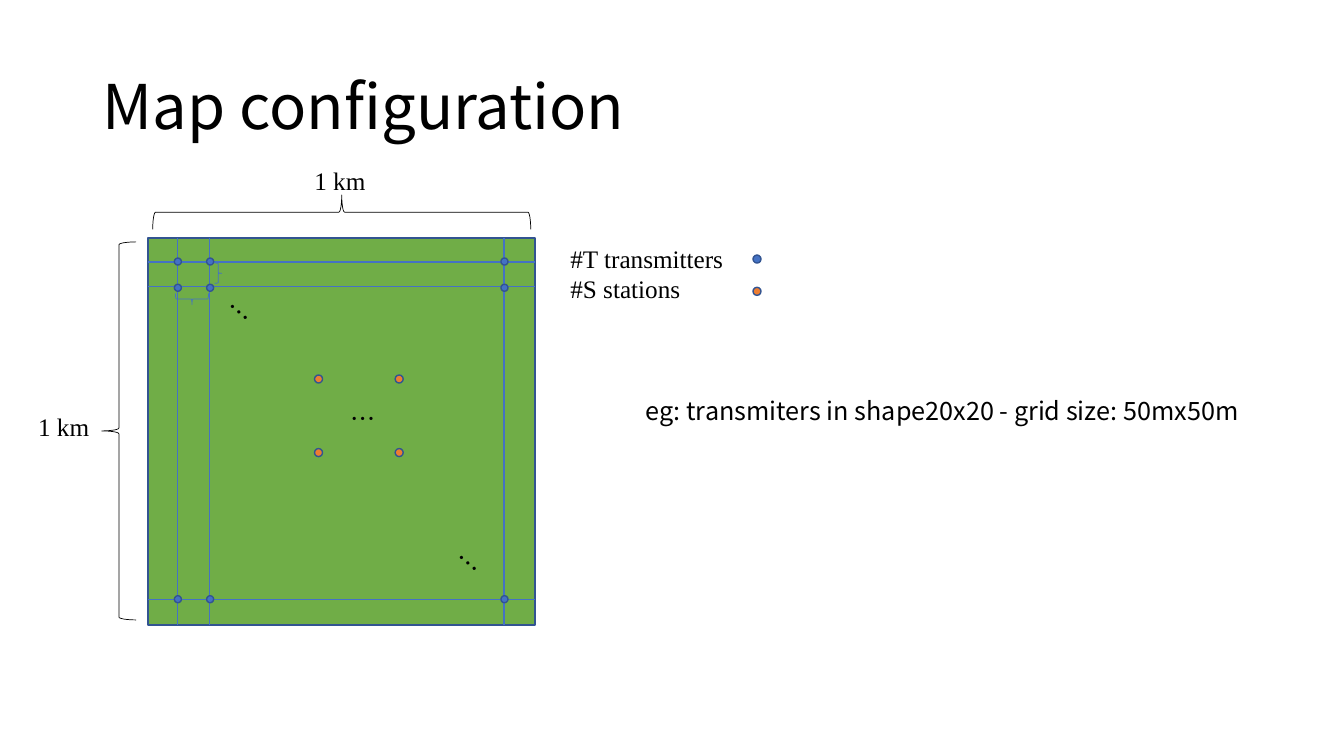
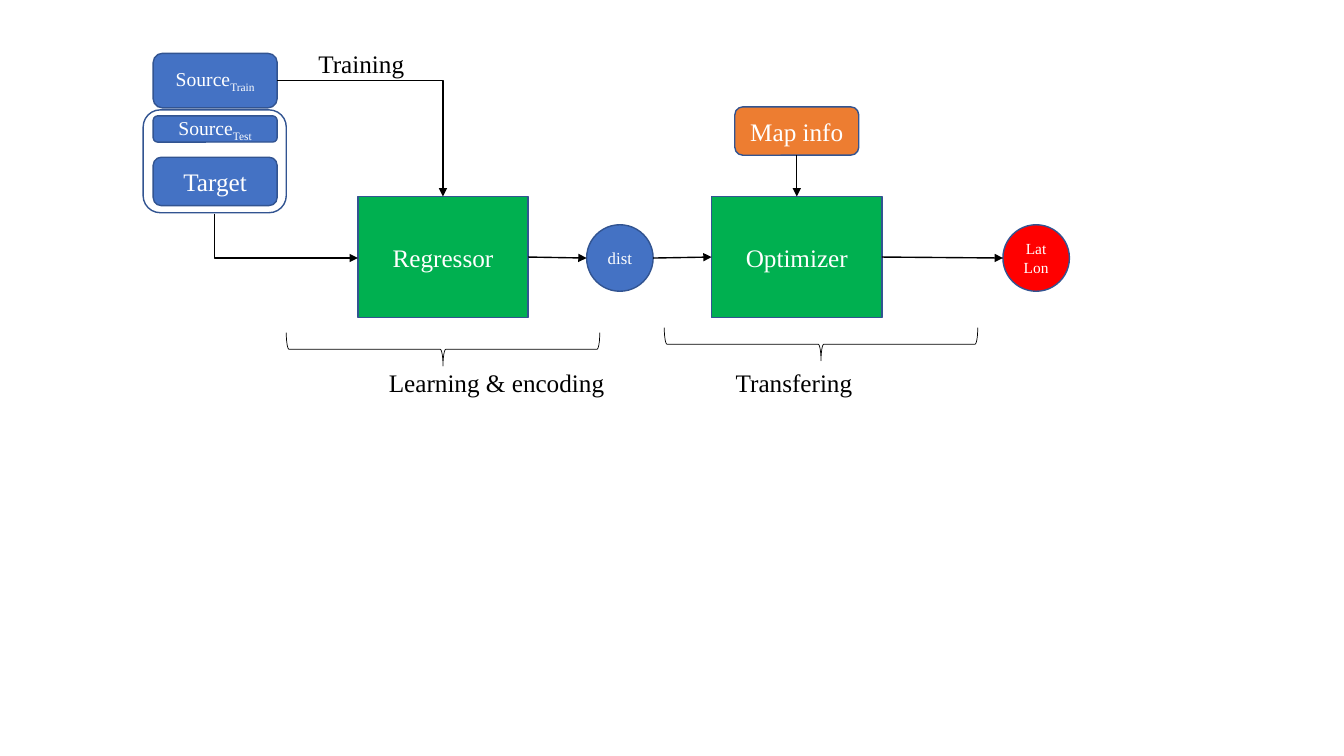
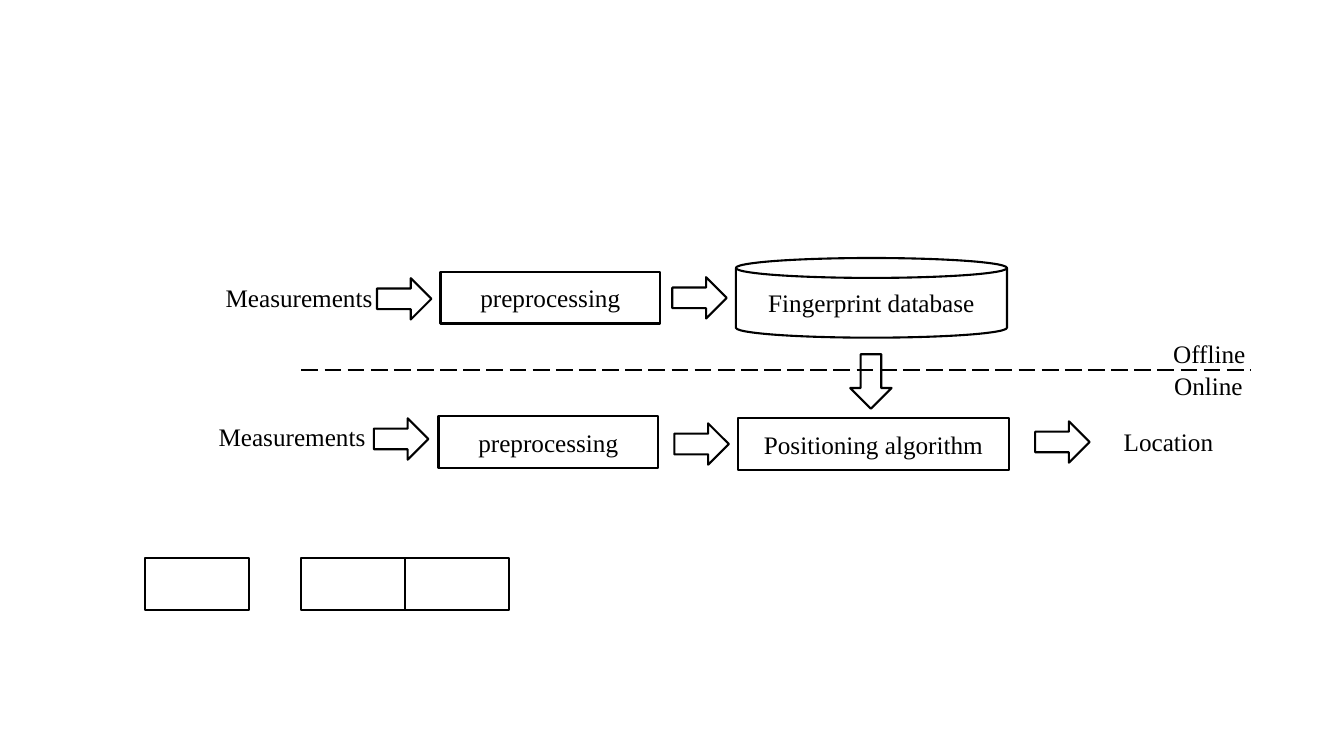
from lxml import etree
from pptx import Presentation
from pptx.dml.color import RGBColor
from pptx.enum.dml import MSO_LINE
from pptx.enum.shapes import MSO_CONNECTOR as LINK, MSO_SHAPE as SHAPE
from pptx.enum.text import MSO_ANCHOR as ANCHOR, MSO_AUTO_SIZE as FIT, PP_ALIGN as ALIGN
from pptx.oxml.ns import qn
from pptx.util import Pt

PX = 9144
SANS = "Noto Sans CJK SC"
SERIF = "Times New Roman"
BLACK = RGBColor(0x00, 0x00, 0x00)
WHITE = RGBColor(0xFF, 0xFF, 0xFF)
BLUE = RGBColor(0x44, 0x72, 0xC4)
NAVY = RGBColor(0x32, 0x54, 0x91)
ORANGE = RGBColor(0xED, 0x7D, 0x31)
GRASS = RGBColor(0x70, 0xAD, 0x47)
GREEN = RGBColor(0x00, 0xB0, 0x50)
RED = RGBColor(0xFF, 0x00, 0x00)


def draw(page, kind, frame, fill=None, edge=NAVY, weight=1, text="", size=18,
         color=BLACK, font=SERIF, turn=0):
    frame = [value * PX for value in frame]
    if kind is None:
        box = page.shapes.add_textbox(*frame)
        box.text_frame.auto_size = FIT.SHAPE_TO_FIT_TEXT
    else:
        box = page.shapes.add_shape(kind, *frame)
        box.shadow.inherit = False
        box.line.color.rgb = edge
        box.line.width = Pt(weight)
        if fill is None:
            box.fill.background()
        else:
            box.fill.solid()
            box.fill.fore_color.rgb = fill
        box.text_frame.vertical_anchor = ANCHOR.MIDDLE
    box.rotation = turn
    box.text_frame.word_wrap = True
    if not text:
        return box
    for row, line in enumerate(text.split("\n")):
        para = box.text_frame.add_paragraph() if row else box.text_frame.paragraphs[0]
        para.alignment = ALIGN.LEFT if kind is None else ALIGN.CENTER
        for level, part in enumerate(line.split("_")):
            span = para.add_run()
            span.text = part
            span.font.size = Pt(size)
            span.font.name = font
            span.font.color.rgb = color
            props = span._r.get_or_add_rPr()
            etree.SubElement(props, qn("a:ea")).set("typeface", font)
            if level:
                props.set("baseline", "-25000")
    return box


def join(page, kind, ends, color=BLACK, weight=1, arrow=True):
    link = page.shapes.add_connector(kind, *[value * PX for value in ends])
    link.line.color.rgb = color
    link.line.width = Pt(weight)
    if arrow:
        etree.SubElement(link.line._get_or_add_ln(), qn("a:tailEnd")).set("type", "triangle")
    etree.SubElement(link._element.spPr, qn("a:effectLst"))
    return link


deck = Presentation()
deck.slide_width = 12192000
deck.slide_height = 750 * PX
blank = deck.slide_layouts[6]

page = deck.slides.add_slide(deck.slide_layouts[5])
title = page.shapes.title
title.left, title.top, title.width, title.height = [v * PX for v in (92, 36, 1150, 145)]
title.text_frame.vertical_anchor = ANCHOR.MIDDLE
title.text_frame.auto_size = FIT.NONE
para = title.text_frame.paragraphs[0]
para.alignment = ALIGN.LEFT
para.line_spacing = 0.9
span = para.add_run()
span.text = "Map configuration"
span.font.size = Pt(44)
span.font.name = SANS
span.font.color.rgb = BLACK

draw(page, SHAPE.RECTANGLE, (147, 236, 384, 384), GRASS)
for frame, turn in (((101, 240, 34, 375), 0), ((322, 23, 34, 375), 90)):
    draw(page, SHAPE.LEFT_BRACE, frame, edge=BLACK, weight=0.5, turn=turn)
for left, top in ((28, 403), (302, 159)):
    draw(page, None, (left, top, 73, 40), text="1 km")

for x in (176, 208, 500):
    join(page, LINK.STRAIGHT, (x, 236, x, 620), BLUE, arrow=False)
for y in (260, 284, 595):
    join(page, LINK.STRAIGHT, (147, y, 531, y), BLUE, arrow=False)
for left in (173, 205, 497):
    for top in (256, 282, 591):
        draw(page, SHAPE.OVAL, (left, top, 7, 7), BLUE)
for left in (312, 392):
    for top in (372, 445):
        draw(page, SHAPE.OVAL, (left, top, 8, 8), ORANGE)

draw(page, None, (556, 236, 361, 71), text="#T transmitters\n#S stations")
for top, fill in ((253, BLUE), (285, ORANGE)):
    draw(page, SHAPE.OVAL, (747, top, 8, 8), fill)
for left, top, turn in ((216, 289, 40.5), (443, 538, 40.5), (338, 395, 0)):
    draw(page, None, (left, top, 42, 40), text="…", font=SANS, turn=turn)
draw(page, None, (631, 387, 622, 40), font=SANS,
     text="eg: transmiters in shape20x20 - grid size: 50mx50m")
for frame, turn in (((185, 280, 11, 33), 270), ((213, 261, 7, 20), 180)):
    draw(page, SHAPE.LEFT_BRACE, frame, edge=BLUE, weight=0.5, turn=turn)

page = deck.slides.add_slide(blank)
blocks = {}
for kind, frame, fill, text, size in (
    (SHAPE.RECTANGLE, (355, 195, 169, 120), GREEN, "Regressor", 18),
    (SHAPE.RECTANGLE, (706, 195, 169, 120), GREEN, "Optimizer", 18),
    (SHAPE.ROUNDED_RECTANGLE, (729, 106, 123, 48), ORANGE, "Map info", 18),
    (SHAPE.OVAL, (582, 223, 66, 66), BLUE, "dist", 12),
    (SHAPE.OVAL, (995, 223, 66, 66), RED, "Lat\nLon", 11),
    (SHAPE.ROUNDED_RECTANGLE, (152, 156, 123, 48), BLUE, "Target", 18),
    (SHAPE.ROUNDED_RECTANGLE, (152, 53, 123, 54), BLUE, "Source_Train", 14),
    (SHAPE.ROUNDED_RECTANGLE, (152, 115, 123, 26), BLUE, "Source_Test", 14),
    (SHAPE.ROUNDED_RECTANGLE, (142, 109, 142, 102), None, "", 18),
):
    blocks[text] = draw(page, kind, frame, fill, text=text, size=size, color=WHITE)
regressor, optimizer = blocks["Regressor"], blocks["Optimizer"]

for ends, start, start_side, finish, finish_side in (
    ((524, 256, 582, 256), regressor, 3, None, 0),
    ((648, 256, 706, 256), None, 0, optimizer, 1),
    ((790, 154, 790, 195), blocks["Map info"], 2, optimizer, 0),
    ((875, 256, 995, 256), optimizer, 3, None, 0),
):
    link = join(page, LINK.STRAIGHT, ends)
    if start:
        link.begin_connect(start, start_side)
    if finish:
        link.end_connect(finish, finish_side)

for start, start_side, finish_side in ((blocks["Source_Train"], 3, 0), (blocks[""], 2, 1)):
    link = join(page, LINK.ELBOW, (275, 80, 440, 195))
    link.begin_connect(start, start_side)
    link.end_connect(regressor, finish_side)
    link._element.spPr.find(qn("a:prstGeom")).set("prst", "bentConnector2")
link.left, link.top, link.width, link.height = [v * PX for v in (262, 163, 44, 142)]
turned = link._element.spPr.find(qn("a:xfrm"))
turned.set("rot", "16200000")
turned.set("flipH", "1")

for left, top in ((423, 191), (798, 186)):
    draw(page, SHAPE.LEFT_BRACE, (left, top, 33, 311), edge=BLACK, weight=0.5, turn=270)
for frame, text in (
    ((376, 359, 260, 40), "Learning & encoding"),
    ((720, 359, 180, 40), "Transfering"),
    ((306, 43, 135, 40), "Training"),
):
    draw(page, None, frame, text=text)

page = deck.slides.add_slide(blank)
for left in (144, 299, 402):
    draw(page, SHAPE.RECTANGLE, (left, 554, 103, 51), edge=BLACK, weight=1.5)
for kind, frame, text in (
    (SHAPE.RECTANGLE, (437, 270, 218, 51), "preprocessing"),
    (SHAPE.RECTANGLE, (435, 413, 218, 51), "preprocessing"),
    (SHAPE.RECTANGLE, (732, 415, 269, 51), "Positioning algorithm"),
    (SHAPE.CAN, (730, 256, 269, 79), "Fingerprint database"),
):
    draw(page, kind, frame, edge=BLACK, weight=1.5, text=text)
for left, top, turn in (
    (667, 275, 0), (669, 420, 0), (837, 358, 90), (374, 276, 0), (371, 415, 0), (1027, 418, 0),
):
    draw(page, SHAPE.RIGHT_ARROW, (left, top, 54, 41), edge=BLACK, weight=1.5, turn=turn)
divider = join(page, LINK.STRAIGHT, (299, 367, 1241, 367), weight=1.5, arrow=False)
divider.line.dash_style = MSO_LINE.LONG_DASH
for left, top, width, text in (
    (1154, 331, 116, "Offline"),
    (1155, 362, 116, "Online"),
    (214, 275, 184, "Measurements"),
    (207, 413, 184, "Measurements"),
    (1105, 418, 184, "Location"),
):
    draw(page, None, (left, top, width, 40), text=text)

deck.save("out.pptx")
